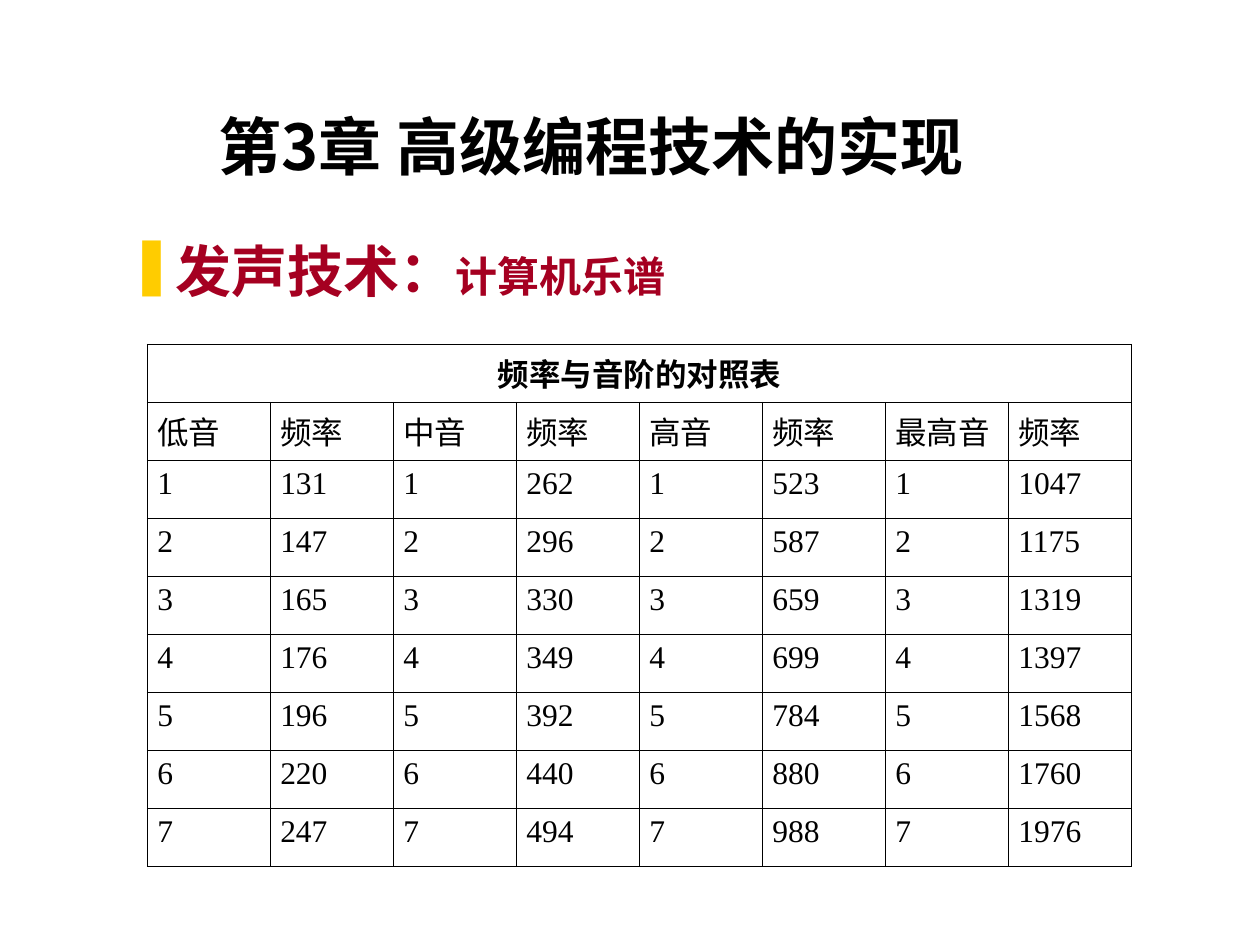
"""Builds a slide that maps musical notes to frequencies."""
import lxml.etree
import pptx
import pptx.dml.color
import pptx.enum.text
import pptx.oxml.ns
import pptx.util

Cm, Pt = pptx.util.Cm, pptx.util.Pt
ALIGN = pptx.enum.text.PP_ALIGN
qn = pptx.oxml.ns.qn

CHAPTER = "第3章 高级编程技术的实现"
TOPIC = [("发声技术：", 32), ("计算机乐谱", 24)]
CAPTION = "频率与音阶的对照表"
OCTAVES = {
    "低音": [131, 147, 165, 176, 196, 220, 247],
    "中音": [262, 296, 330, 349, 392, 440, 494],
    "高音": [523, 587, 659, 699, 784, 880, 988],
    "最高音": [1047, 1175, 1319, 1397, 1568, 1760, 1976],
}
FREQUENCY = "频率"

COLORS = {"text": "000000", "topic": "A50021", "bullet": "FFCC00"}
LATIN, CJK = "Times New Roman", "Noto Sans CJK SC"
COLUMN_WIDTH, ROW_HEIGHT = Cm(2.48), Cm(1.17)


def add_xml(parent, tag, **attributes):
    return lxml.etree.SubElement(parent, qn(tag), attributes)


def style(font, size, color, bold, latin=LATIN):
    font.size, font.bold, font.name = Pt(size), bold, latin
    font.color.rgb = pptx.dml.color.RGBColor.from_string(COLORS[color])


def add_run(paragraph, text):
    run = paragraph.add_run()
    run.text = text
    add_xml(run._r.get_or_add_rPr(), "a:ea", typeface=CJK)
    return run


def add_paragraph_box(slide, left, top, width, height, anchor):
    frame = slide.shapes.add_textbox(Cm(left), Cm(top), Cm(width), Cm(height)).text_frame
    frame.word_wrap, frame.vertical_anchor = True, anchor
    return frame.paragraphs[0]


def add_bullet(paragraph, symbol, indent):
    properties = paragraph._p.get_or_add_pPr()
    properties.set("marL", str(indent))
    properties.set("indent", str(-indent))
    color = add_xml(properties, "a:buClr")
    add_xml(color, "a:srgbClr", val=COLORS["bullet"])
    add_xml(properties, "a:buChar", char=symbol)


def add_borders(cell):
    properties = cell._tc.get_or_add_tcPr()
    for side in ("a:lnL", "a:lnR", "a:lnT", "a:lnB"):
        line = add_xml(properties, side, w=str(Pt(0.45)))
        add_xml(add_xml(line, "a:solidFill"), "a:srgbClr", val=COLORS["text"])


def fill_cell(cell, text, bold, alignment):
    add_borders(cell)
    cell.fill.background()
    cell.margin_left = cell.margin_right = Cm(0.2)
    cell.margin_top = cell.margin_bottom = Cm(0.12)
    paragraph = cell.text_frame.paragraphs[0]
    paragraph.alignment = alignment
    style(paragraph.font, 18, "text", bold)
    if text:
        add_run(paragraph, text)


def add_note_table(slide):
    headings = [label for octave in OCTAVES for label in (octave, FREQUENCY)]
    notes = [
        [str(value) for frequency in scale for value in (note, frequency)]
        for note, scale in enumerate(zip(*OCTAVES.values()), 1)
    ]
    caption = [CAPTION] + [""] * (len(headings) - 1)
    rows = [caption, headings] + notes
    table = slide.shapes.add_table(
        len(rows), len(headings), Cm(2.97), Cm(6.94),
        COLUMN_WIDTH * len(headings), ROW_HEIGHT * len(rows),
    ).table
    table.first_row = table.horz_banding = False
    for column in table.columns:
        column.width = COLUMN_WIDTH
    for r, row in enumerate(rows):
        table.rows[r].height = ROW_HEIGHT
        for c, text in enumerate(row):
            alignment = ALIGN.JUSTIFY if r else ALIGN.CENTER
            fill_cell(table.cell(r, c), text, r == 0, alignment)
    table.cell(0, 0).merge(table.cell(0, len(headings) - 1))


def main():
    deck = pptx.Presentation()
    deck.slide_width, deck.slide_height = Cm(25.4), Cm(19.05)
    slide = deck.slides.add_slide(deck.slide_layouts[6])

    chapter = add_paragraph_box(
        slide, 1.12, 0.64, 21.59, 3.17, pptx.enum.text.MSO_ANCHOR.BOTTOM)
    chapter.alignment = ALIGN.CENTER
    style(chapter.font, 36, "text", True, CJK)
    add_run(chapter, CHAPTER)

    topic = add_paragraph_box(
        slide, 2.34, 4.65, 22.43, 1.75, pptx.enum.text.MSO_ANCHOR.TOP)
    topic.alignment = ALIGN.JUSTIFY
    add_bullet(topic, "❚", Cm(0.95))
    style(topic.font, 32, "topic", True)
    for text, size in TOPIC:
        add_run(topic, text).font.size = Pt(size)

    add_note_table(slide)
    deck.save("out.pptx")


if __name__ == "__main__":
    main()
